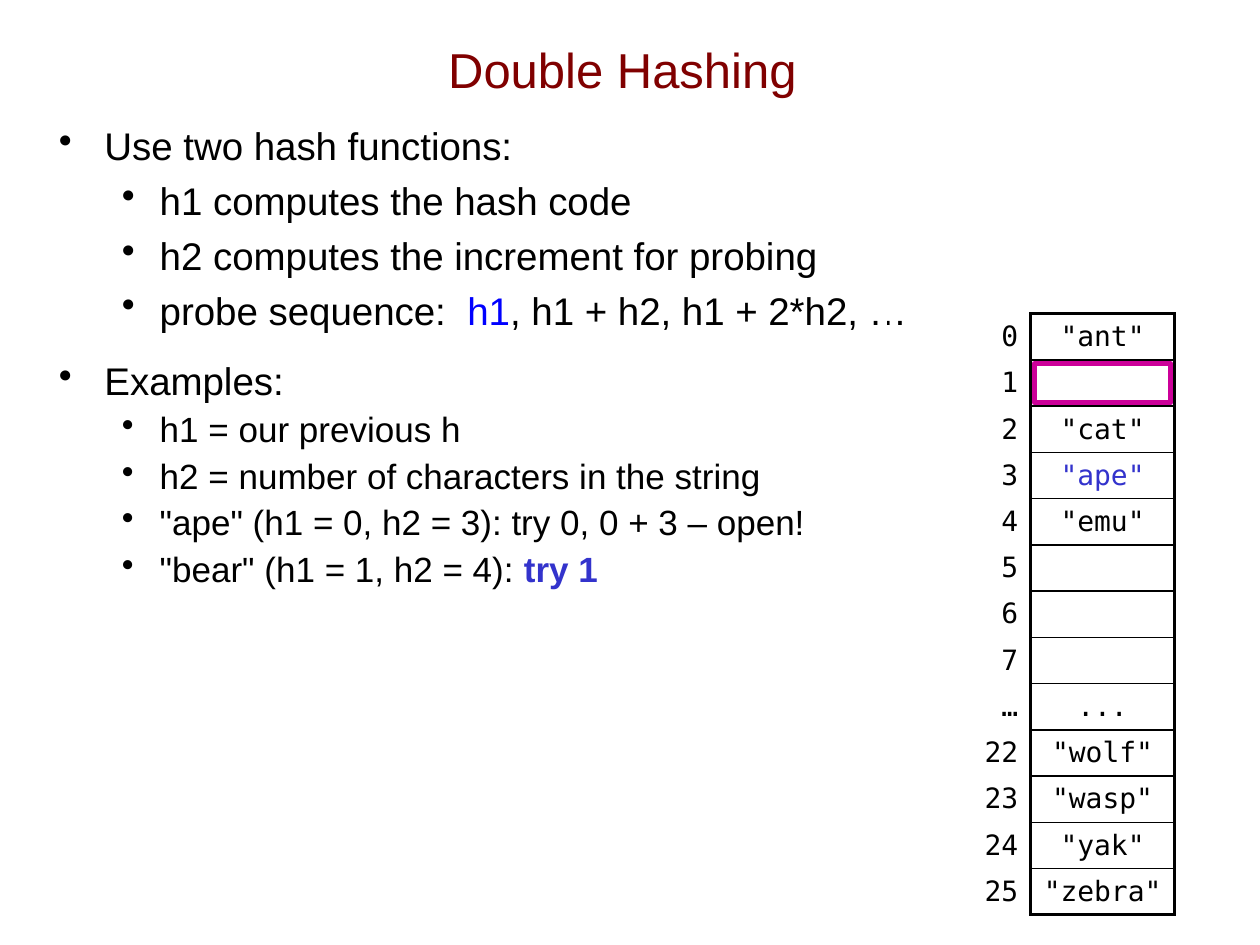
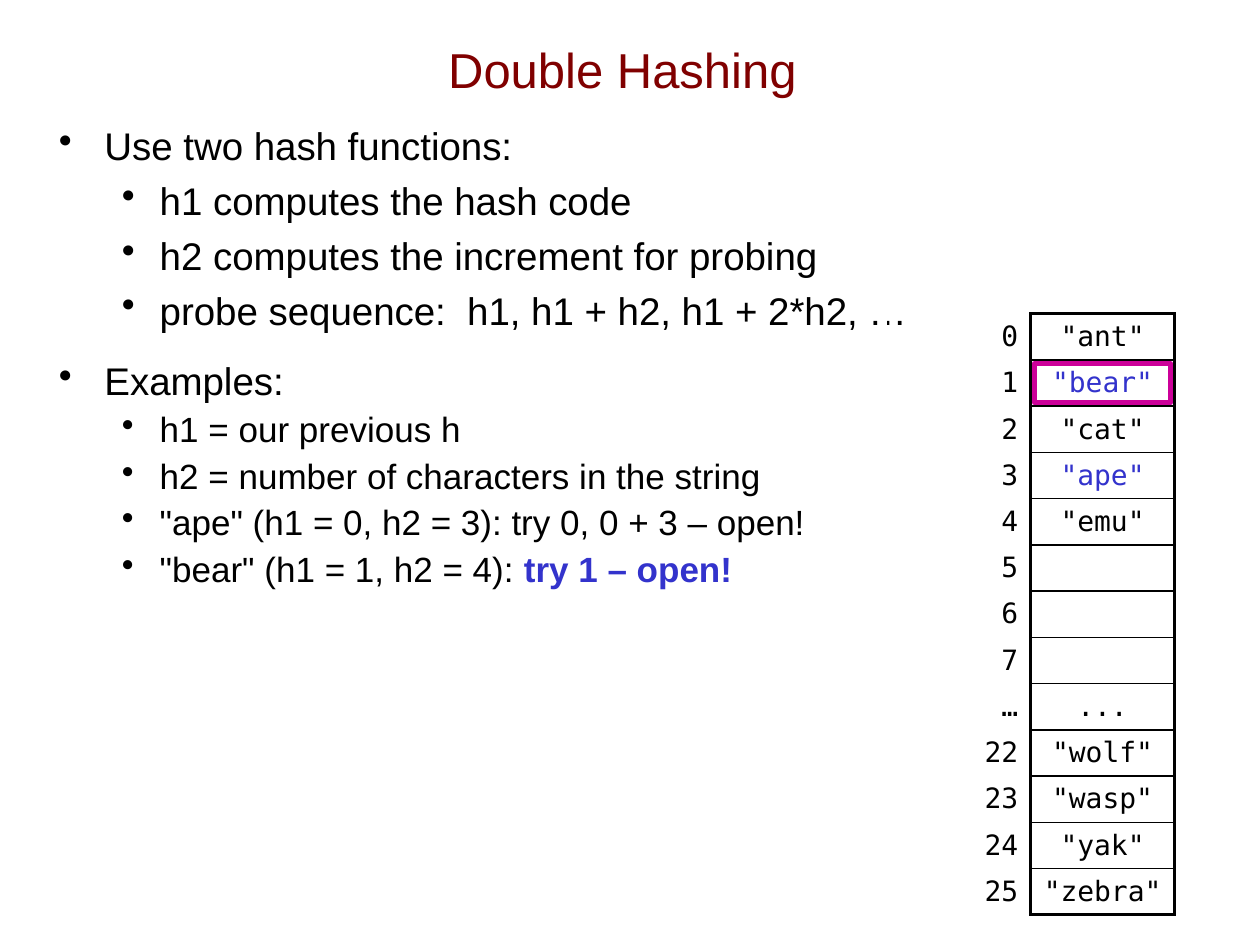
from lxml import etree
from pptx import Presentation
from pptx.dml.color import RGBColor
from pptx.enum.shapes import MSO_SHAPE
from pptx.enum.text import MSO_ANCHOR, PP_ALIGN
from pptx.oxml.ns import qn
from pptx.util import Pt

RECTANGLE = MSO_SHAPE.RECTANGLE
TOP, MIDDLE = MSO_ANCHOR.TOP, MSO_ANCHOR.MIDDLE
CENTER, RIGHT = PP_ALIGN.CENTER, PP_ALIGN.RIGHT

COLORS = {
    "text": "000000",
    "title": "800000",
    "probe": "0000FF",
    "current": "3333CC",
    "frame": "CC0099",
}
TEXT_FONT, CODE_FONT = "Arial", "DejaVu Sans Mono"

TITLE = "Double Hashing"
INDEXES = ["0", "1", "2", "3", "4", "5", "6", "7", "…", "22", "23", "24", "25"]
WORDS = {"0": "ant", "2": "cat", "3": "ape", "4": "emu",
         "22": "wolf", "23": "wasp", "24": "yak", "25": "zebra"}
INSERTED = ("ape", "bear")
PROBED_ROW = 1

# Each step: color of the first probe, outcome for "bear", words new to the table
STEPS = [
    ("probe", "try 1", {}),
    ("text", "try 1 – open!", {"1": "bear"}),
]

# Paragraph styles: level, left, hanging, space before, line spacing, size
STYLES = {
    "main": (0, 26, 26, 14, 1.0, 22),
    "sub": (1, 57.6, 21.6, 5, 1.0, 22),
    "example": (1, 57.6, 21.6, 5, 0.9, 20),
}

TITLE_BOX = (46, 5.8, 619.2, 67)
BODY_BOX = (26.6, 66.2, 666, 442)
TABLE_LEFT, TABLE_TOP = 506.2, 179.3
COLUMN_WIDTHS = (82.8, 82.1)
ROW_HEIGHT = 26.42
FRAME_INSET = 2.1
THICK, THIN = 2.25, 1


def outline(first_probe, outcome):
    """Paragraphs as (style, [(text, color, bold), ...])."""
    def plain(text):
        return (text, "text", False)

    return [
        ("main", [plain("Use two hash functions:")]),
        ("sub", [plain("h1 computes the hash code")]),
        ("sub", [plain("h2 computes the increment for probing")]),
        ("sub", [plain("probe sequence:  "), ("h1", first_probe, False),
                 plain(", h1 + h2, h1 + 2*h2, …")]),
        ("main", [plain("Examples:")]),
        ("example", [plain("h1 = our previous h")]),
        ("example", [plain("h2 = number of characters in the string")]),
        ("example", [plain('"ape" (h1 = 0, h2 = 3): try 0, 0 + 3 – open!')]),
        ("example", [plain('"bear" (h1 = 1, h2 = 4): '),
                     (outcome, "current", True)]),
    ]


def rgb(name):
    return RGBColor.from_string(COLORS[name])


def set_font(font, name, size, color):
    font.name, font.size = name, Pt(size)
    font.color.rgb = rgb(color)


def add_color(parent, name):
    etree.SubElement(parent, qn("a:srgbClr"), val=COLORS[name])


def add_text_box(page, bounds, anchor):
    frame = page.shapes.add_textbox(*map(Pt, bounds)).text_frame
    frame.word_wrap = True
    frame.vertical_anchor = anchor
    return frame


def add_title(page):
    para = add_text_box(page, TITLE_BOX, MIDDLE).paragraphs[0]
    para.text, para.alignment = TITLE, CENTER
    set_font(para.font, TEXT_FONT, 28, "title")


def add_outline(page, paragraphs):
    frame = add_text_box(page, BODY_BOX, TOP)
    for number, (style, spans) in enumerate(paragraphs):
        para = frame.add_paragraph() if number else frame.paragraphs[0]
        level, left, hanging, before, spacing, size = STYLES[style]
        para.level = level
        properties = para._p.get_or_add_pPr()
        properties.set("marL", str(Pt(left)))
        properties.set("indent", str(-Pt(hanging)))
        add_color(etree.SubElement(properties, qn("a:buClr")), "text")
        etree.SubElement(properties, qn("a:buChar"), char="•")
        para.line_spacing = spacing
        if number:
            para.space_before = Pt(before)
        set_font(para.font, TEXT_FONT, size, "text")
        for text, color, bold in spans:
            span = para.add_run()
            span.text = text
            if color != "text":
                span.font.color.rgb = rgb(color)
            if bold:
                span.font.bold = True


def set_borders(cell, **widths):
    """Widths by side, given in the order L, R, T, B."""
    properties = cell._tc.get_or_add_tcPr()
    for side, width in widths.items():
        line = etree.SubElement(properties, qn(f"a:ln{side}"), w=str(Pt(width)))
        add_color(etree.SubElement(line, qn("a:solidFill")), "text")


def fill_cell(cell, text, alignment, color):
    cell.fill.background()
    cell.margin_top = cell.margin_bottom = 0
    cell.vertical_anchor = MIDDLE
    para = cell.text_frame.paragraphs[0]
    para.text, para.alignment = text, alignment
    set_font(para.font, CODE_FONT, 16, color)


def add_hash_table(page, words):
    count = len(INDEXES)
    table = page.shapes.add_table(
        count, 2, Pt(TABLE_LEFT), Pt(TABLE_TOP),
        Pt(sum(COLUMN_WIDTHS)), Pt(count * ROW_HEIGHT)).table
    table.first_row = table.horz_banding = False
    for column, width in zip(table.columns, COLUMN_WIDTHS):
        column.width = Pt(width)
    for row, index in enumerate(INDEXES):
        table.rows[row].height = Pt(ROW_HEIGHT)
        index_cell, word_cell = table.cell(row, 0), table.cell(row, 1)
        set_borders(index_cell, R=THICK)
        set_borders(word_cell, L=THICK, R=THICK,
                    T=THIN if row else THICK,
                    B=THIN if row < count - 1 else THICK)
        word = words.get(index)
        text = f'"{word}"' if word else "..." if index == "…" else ""
        fill_cell(index_cell, index, RIGHT, "text")
        fill_cell(word_cell, text, CENTER,
                  "current" if word in INSERTED else "text")


def add_probe_frame(page):
    frame = page.shapes.add_shape(
        RECTANGLE,
        Pt(TABLE_LEFT + COLUMN_WIDTHS[0] + FRAME_INSET),
        Pt(TABLE_TOP + PROBED_ROW * ROW_HEIGHT + FRAME_INSET),
        Pt(COLUMN_WIDTHS[1] - 2 * FRAME_INSET),
        Pt(ROW_HEIGHT - 2 * FRAME_INSET))
    frame.shadow.inherit = False
    frame.fill.background()
    frame.line.color.rgb = rgb("frame")
    frame.line.width = Pt(3)


def main():
    deck = Presentation()
    deck.slide_width, deck.slide_height = Pt(720), Pt(540)
    for first_probe, outcome, new_words in STEPS:
        page = deck.slides.add_slide(deck.slide_layouts[6])
        add_title(page)
        add_outline(page, outline(first_probe, outcome))
        add_hash_table(page, WORDS | new_words)
        add_probe_frame(page)
    deck.save("out.pptx")


if __name__ == "__main__":
    main()
